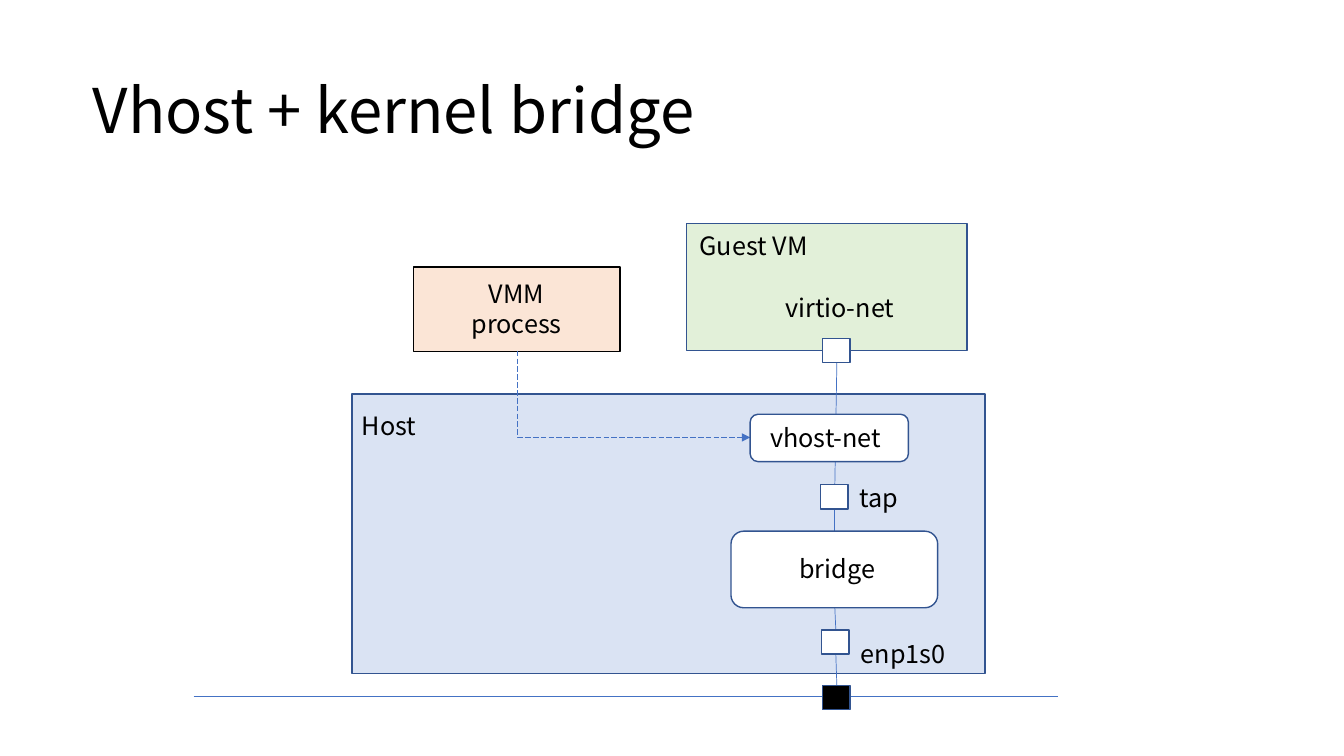
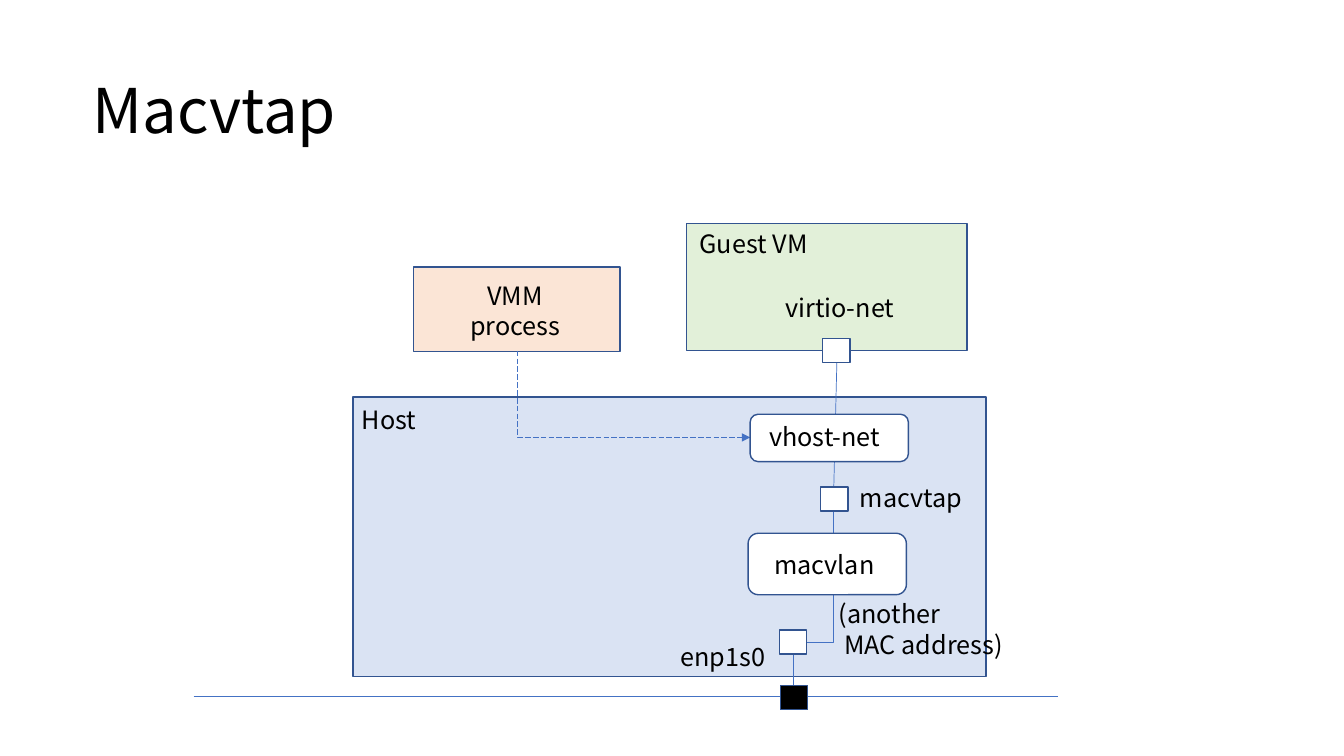
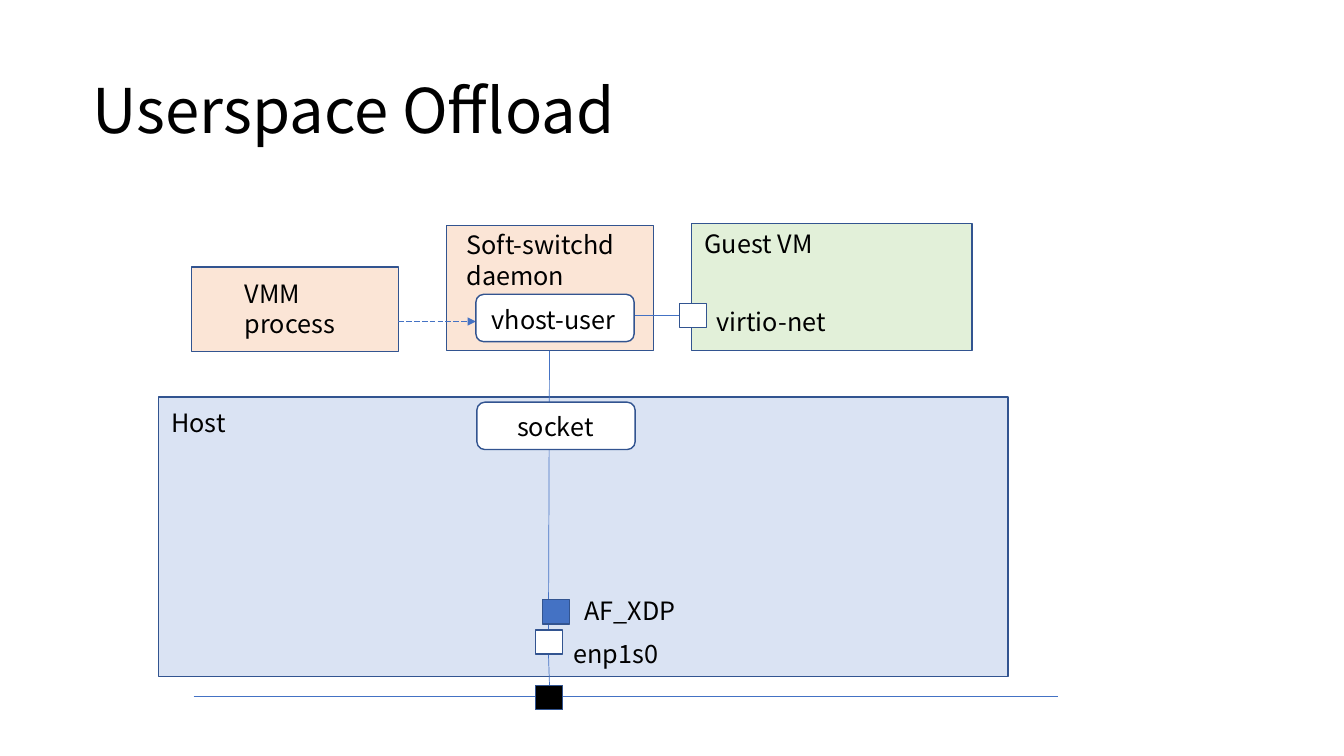
"""Build three slides on virtual machine networking."""
from dataclasses import dataclass

from lxml import etree
from pptx import Presentation
from pptx.dml.color import RGBColor
from pptx.enum.dml import MSO_LINE
from pptx.enum.shapes import MSO_CONNECTOR, MSO_SHAPE
from pptx.enum.text import MSO_ANCHOR, MSO_AUTO_SIZE, PP_ALIGN
from pptx.oxml.ns import qn
from pptx.util import Inches, Pt

RECT = MSO_SHAPE.RECTANGLE
ROUNDED = MSO_SHAPE.ROUNDED_RECTANGLE
STRAIGHT = MSO_CONNECTOR.STRAIGHT
LONG_DASH = MSO_LINE.LONG_DASH
LEFT, CENTER = PP_ALIGN.LEFT, PP_ALIGN.CENTER

FONT = "Noto Sans CJK JP"
BLACK, WHITE = "000000", "FFFFFF"
HOST_BLUE, GUEST_GREEN, PROCESS_PEACH = "DAE3F3", "E2F0D9", "FBE5D6"
OUTLINE, ACCENT = "325490", "4472C4"
PORT_WIDTH, PORT_HEIGHT = 0.27, 0.24
NODE_WIDTH, NODE_HEIGHT = 1.57, 0.47
TITLE_ONLY = 5
TITLE_AREA = (0.92, 0.4, 11.5, 1.45)
TITLE_FRAME = {
    "margin_left": 0, "margin_right": 0, "margin_top": 0, "margin_bottom": 0,
    "vertical_anchor": MSO_ANCHOR.MIDDLE, "word_wrap": True,
    "auto_size": MSO_AUTO_SIZE.NONE,
}
LABEL_FRAME = {
    "margin_left": Inches(0.1), "margin_right": Inches(0.1),
    "margin_top": Inches(0.05), "margin_bottom": Inches(0.05),
    "vertical_anchor": MSO_ANCHOR.TOP, "word_wrap": True,
    "auto_size": MSO_AUTO_SIZE.SHAPE_TO_FIT_TEXT,
}


@dataclass(frozen=True)
class Block:
    """A filled, outlined shape."""
    left: float
    top: float
    width: float
    height: float
    fill: str
    outline: str = OUTLINE
    preset: int = RECT


@dataclass(frozen=True)
class Link:
    """A line between two points; a bent one runs down, then across."""
    start: tuple[float, float]
    end: tuple[float, float]
    bent: bool = False
    arrow: bool = False


@dataclass(frozen=True)
class Label:
    """Text at a place, one paragraph per line."""
    text: str
    left: float
    top: float
    width: float
    height: float = 0.4
    align: int = LEFT


@dataclass(frozen=True)
class Diagram:
    """One slide: areas at the back, then links, blocks and labels."""
    title: str
    areas: list[Block]
    links: list[Link]
    blocks: list[Block]
    labels: list[Label]


def color(value: str) -> RGBColor:
    """Turn a hex string into a colour."""
    return RGBColor.from_string(value)


def host(left: float, top: float, width: float = 6.28) -> Block:
    """Describe the host area."""
    return Block(left, top, width, 2.77, HOST_BLUE)


def guest(left: float) -> Block:
    """Describe the guest area."""
    return Block(left, 2.22, 2.78, 1.26, GUEST_GREEN)


def process(left: float, outline: str = OUTLINE) -> Block:
    """Describe the emulator process box."""
    return Block(left, 2.65, 2.05, 0.84, PROCESS_PEACH, outline)


def port(left: float, top: float, fill: str = WHITE) -> Block:
    """Describe a small network port."""
    return Block(left, top, PORT_WIDTH, PORT_HEIGHT, fill)


def node(left: float, top: float, width: float = NODE_WIDTH,
         height: float = NODE_HEIGHT) -> Block:
    """Describe a rounded white component."""
    return Block(left, top, width, height, WHITE, preset=ROUNDED)


def apply(target, values: dict) -> None:
    """Set each named attribute on the target."""
    for name, value in values.items():
        setattr(target, name, value)


def write(frame, text: str, size: float, paragraph: dict, layout: dict) -> None:
    """Fill a text frame with styled paragraphs."""
    apply(frame, layout)
    for index, line in enumerate(text.split("\n")):
        para = frame.paragraphs[0] if index == 0 else frame.add_paragraph()
        apply(para, paragraph)
        span = para.add_run()
        span.text = line
        apply(span.font, {"name": FONT, "size": Pt(size)})
        span.font.color.rgb = color(BLACK)


def draw_title(page, text: str) -> None:
    """Place and style the title placeholder."""
    title = page.shapes.title
    apply(title, dict(zip(("left", "top", "width", "height"),
                          map(Inches, TITLE_AREA))))
    write(title.text_frame, text, 44,
          {"alignment": LEFT, "line_spacing": 0.9}, TITLE_FRAME)


def draw_block(page, block: Block) -> None:
    """Draw a filled shape."""
    area = map(Inches, (block.left, block.top, block.width, block.height))
    shape = page.shapes.add_shape(block.preset, *area)
    shape.shadow.inherit = False
    shape.fill.solid()
    shape.fill.fore_color.rgb = color(block.fill)
    shape.line.color.rgb = color(block.outline)
    shape.line.width = Pt(0.99)


def bend(connector, link: Link) -> None:
    """Turn a connector into an elbow that runs down, then across."""
    (x1, y1), (x2, y2) = link.start, link.end
    across, down = abs(x2 - x1), abs(y2 - y1)
    apply(connector, {
        "left": Inches((x1 + x2 - down) / 2),
        "top": Inches((y1 + y2 - across) / 2),
        "width": Inches(down), "height": Inches(across),
    })
    properties = connector._element.spPr
    properties.find(qn("a:prstGeom")).set("prst", "bentConnector2")
    transform = properties.find(qn("a:xfrm"))
    transform.attrib.pop("flipH", None)
    rightward = x2 > x1
    transform.set("rot", str((270 if rightward else 90) * 60000))
    if rightward:
        transform.set("flipH", "1")


def draw_link(page, link: Link) -> None:
    """Draw a straight or bent line, dashed when it has an arrowhead."""
    connector = page.shapes.add_connector(
        STRAIGHT, *map(Inches, link.start + link.end))
    if link.bent:
        bend(connector, link)
    connector.line.color.rgb = color(ACCENT)
    connector.line.width = Pt(0.51)
    properties = connector._element.spPr
    if link.arrow:
        connector.line.dash_style = LONG_DASH
        etree.SubElement(properties.find(qn("a:ln")), qn("a:tailEnd"),
                         type="triangle")
    etree.SubElement(properties, qn("a:effectLst"))


def draw_label(page, label: Label) -> None:
    """Draw a text box."""
    area = map(Inches, (label.left, label.top, label.width, label.height))
    box = page.shapes.add_textbox(*area)
    write(box.text_frame, label.text, 18, {"alignment": label.align},
          LABEL_FRAME)


def draw_diagram(deck, diagram: Diagram) -> None:
    """Add one slide, from back to front."""
    page = deck.slides.add_slide(deck.slide_layouts[TITLE_ONLY])
    draw_title(page, diagram.title)
    draw_link(page, NETWORK_WIRE)
    for draw, items in ((draw_block, diagram.areas),
                        (draw_link, diagram.links),
                        (draw_block, diagram.blocks),
                        (draw_label, diagram.labels)):
        for item in items:
            draw(page, item)


NETWORK_WIRE = Link((1.92, 6.91), (10.49, 6.91))
PROCESS_TO_VHOST = Link((5.13, 3.48), (7.44, 4.34), bent=True, arrow=True)
VHOST_NODE = node(7.44, 4.11)
VIRTIO_PORT = port(8.16, 3.36)
VIRTIO_LABEL = Label("virtio-net", 7.69, 2.85, 1.39)

DIAGRAMS = [
    Diagram(
        "Vhost + kernel bridge",
        areas=[host(3.49, 3.91), guest(6.81), process(4.1, BLACK)],
        links=[
            Link((8.3, 3.6), (8.28, 4.81)),
            Link((8.28, 5.06), (8.28, 5.27)),
            Link((8.28, 6.03), (8.29, 6.25)),
            Link((8.29, 6.49), (8.3, 6.8)),
            PROCESS_TO_VHOST,
        ],
        blocks=[
            VIRTIO_PORT, VHOST_NODE, port(8.14, 4.81),
            node(7.25, 5.27, 2.05, 0.76),
            port(8.15, 6.25), port(8.16, 6.8, BLACK),
        ],
        labels=[
            Label("VMM\nprocess", 4.46, 2.71, 1.33, 0.7, CENTER),
            Label("Guest VM", 6.84, 2.24, 1.45),
            VIRTIO_LABEL,
            Label("Host", 3.49, 4.02, 1.12),
            Label("vhost-net", 7.54, 4.14, 1.62),
            Label("tap", 8.43, 4.74, 0.74),
            Label("bridge", 7.83, 5.44, 1.03),
            Label("enp1s0", 8.44, 6.28, 1.15),
        ],
    ),
    Diagram(
        "Macvtap",
        areas=[host(3.5, 3.94), guest(6.81), process(4.1)],
        links=[
            Link((8.3, 3.6), (8.27, 4.83)),
            Link((8.27, 5.07), (8, 6.37), bent=True),
            Link((7.87, 6.49), (7.87, 6.8)),
            PROCESS_TO_VHOST,
        ],
        blocks=[
            VIRTIO_PORT, VHOST_NODE, port(8.14, 4.83),
            node(7.42, 5.29, height=0.61),
            port(7.73, 6.25), port(7.74, 6.8, BLACK),
        ],
        labels=[
            Label("VMM\nprocess", 4.44, 2.73, 1.34, 0.7, CENTER),
            Label("Guest VM", 6.84, 2.22, 1.45),
            VIRTIO_LABEL,
            Label("Host", 3.49, 3.96, 1.12),
            Label("vhost-net", 7.53, 4.13, 1.73),
            Label("macvtap", 8.43, 4.74, 1.46),
            Label("macvlan", 7.58, 5.4, 1.62),
            Label("(another\n MAC address)", 8.22, 5.89, 2.18, 0.7),
            Label("enp1s0", 6.65, 6.31, 1.15),
        ],
    ),
    Diagram(
        "Userspace Offload",
        areas=[
            Block(4.43, 2.24, 2.05, 1.24, PROCESS_PEACH),
            host(1.57, 3.94, 8.43), guest(6.86), process(1.9),
        ],
        links=[
            Link((3.95, 3.19), (4.72, 3.19), arrow=True),
            Link((6.74, 3.13), (6.23, 3.13)),
            Link((5.45, 3.48), (5.44, 6.25)),
            Link((5.44, 6.49), (5.45, 6.8)),
        ],
        blocks=[
            node(4.72, 2.92), port(6.74, 3.01), node(4.73, 3.99),
            port(5.38, 5.95, ACCENT),
            port(5.31, 6.25), port(5.31, 6.8, BLACK),
        ],
        labels=[
            Label("VMM\nprocess", 2.33, 2.71, 1.25, 0.7),
            Label("Soft-switchd\ndaemon", 4.53, 2.23, 1.97, 0.7),
            Label("vhost-user", 4.78, 2.97, 1.62),
            Label("Guest VM", 6.89, 2.22, 1.45),
            Label("virtio-net", 7.01, 2.99, 1.39),
            Label("Host", 1.6, 3.99, 1.12),
            Label("socket", 5.03, 4.03, 1.3),
            Label("AF_XDP", 5.7, 5.86, 1.3),
            Label("enp1s0", 5.59, 6.28, 1.15),
        ],
    ),
]


def main() -> None:
    """Build and save the deck."""
    deck = Presentation()
    apply(deck, {"slide_width": Inches(13.33), "slide_height": Inches(7.5)})
    for diagram in DIAGRAMS:
        draw_diagram(deck, diagram)
    deck.save("out.pptx")


main()
